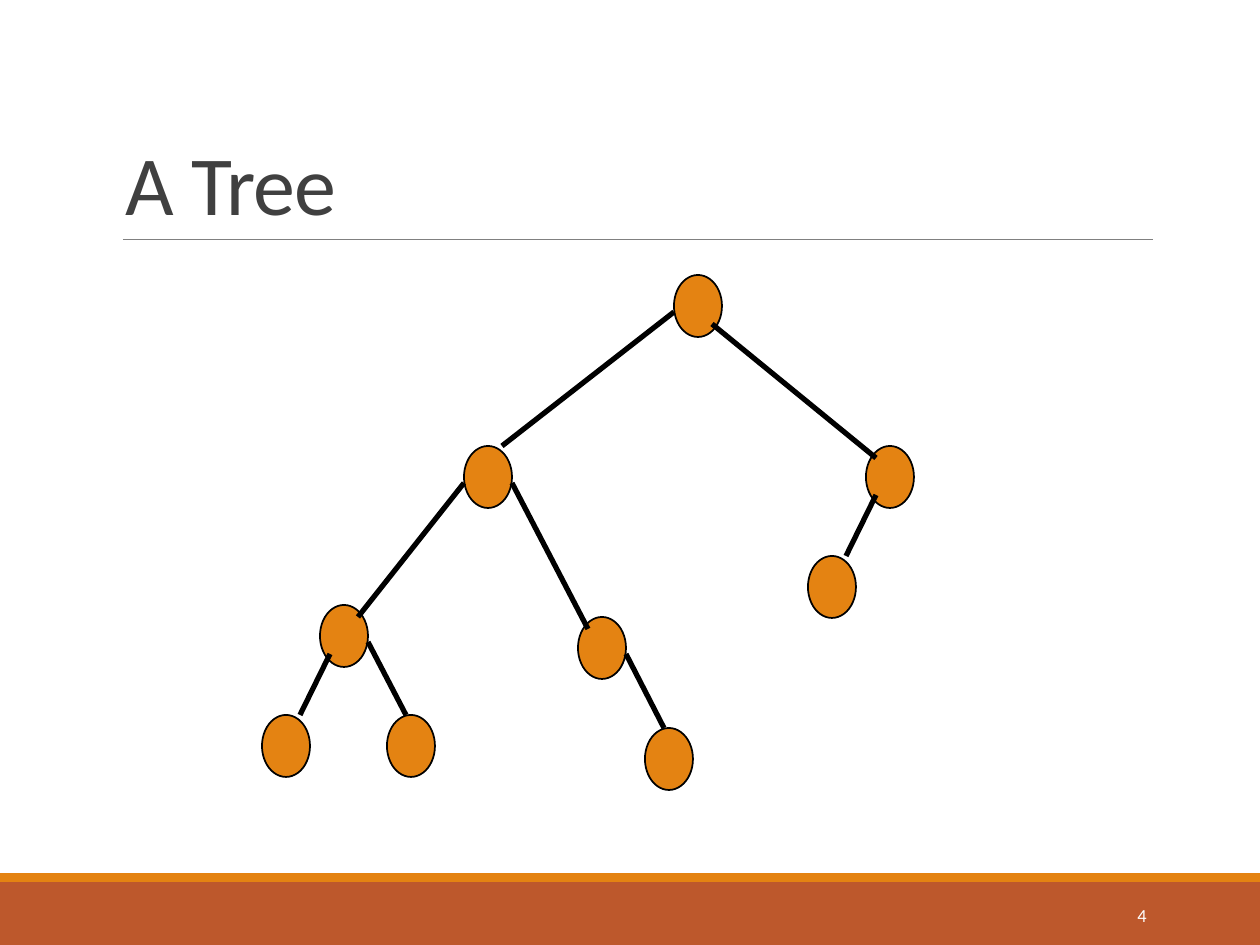
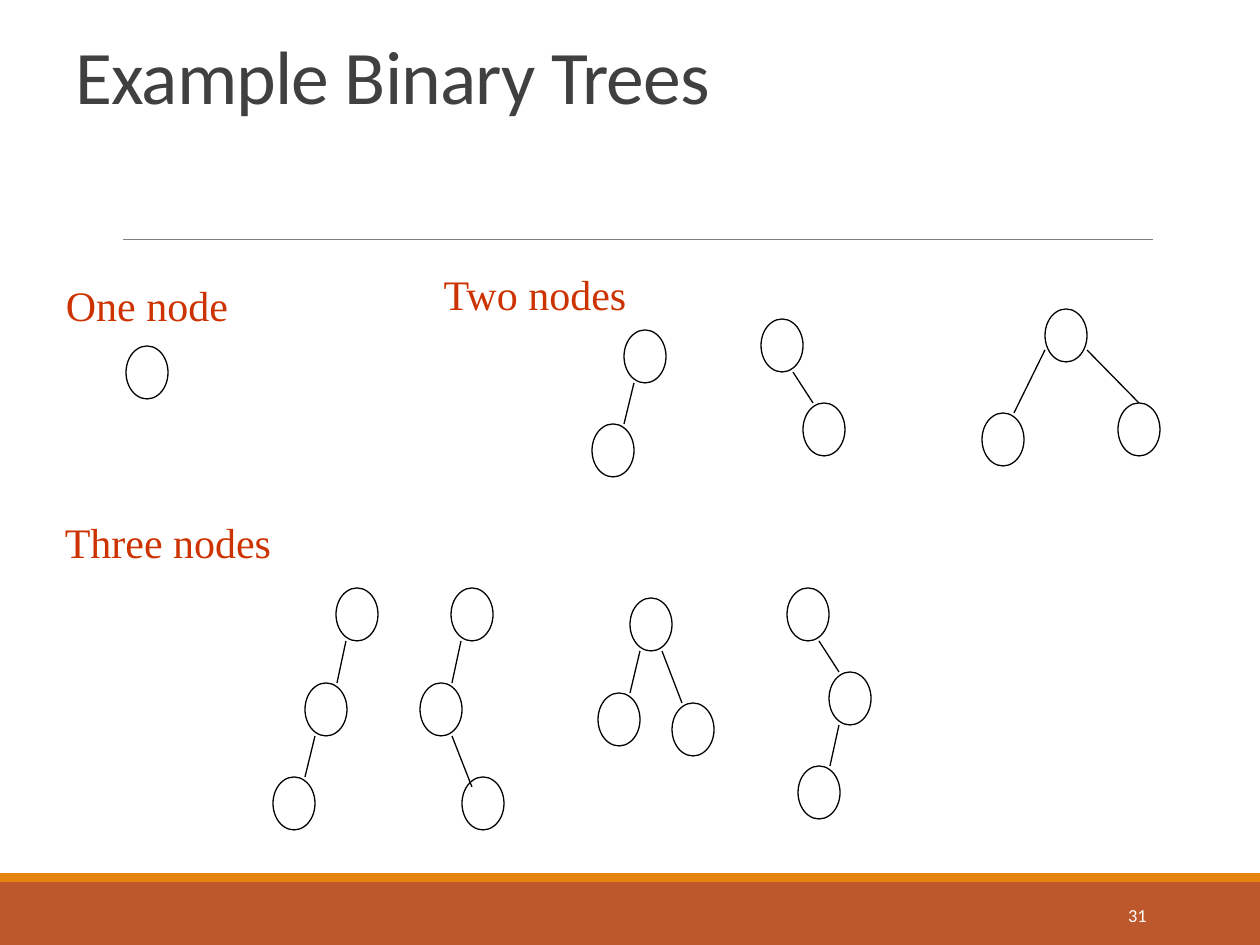
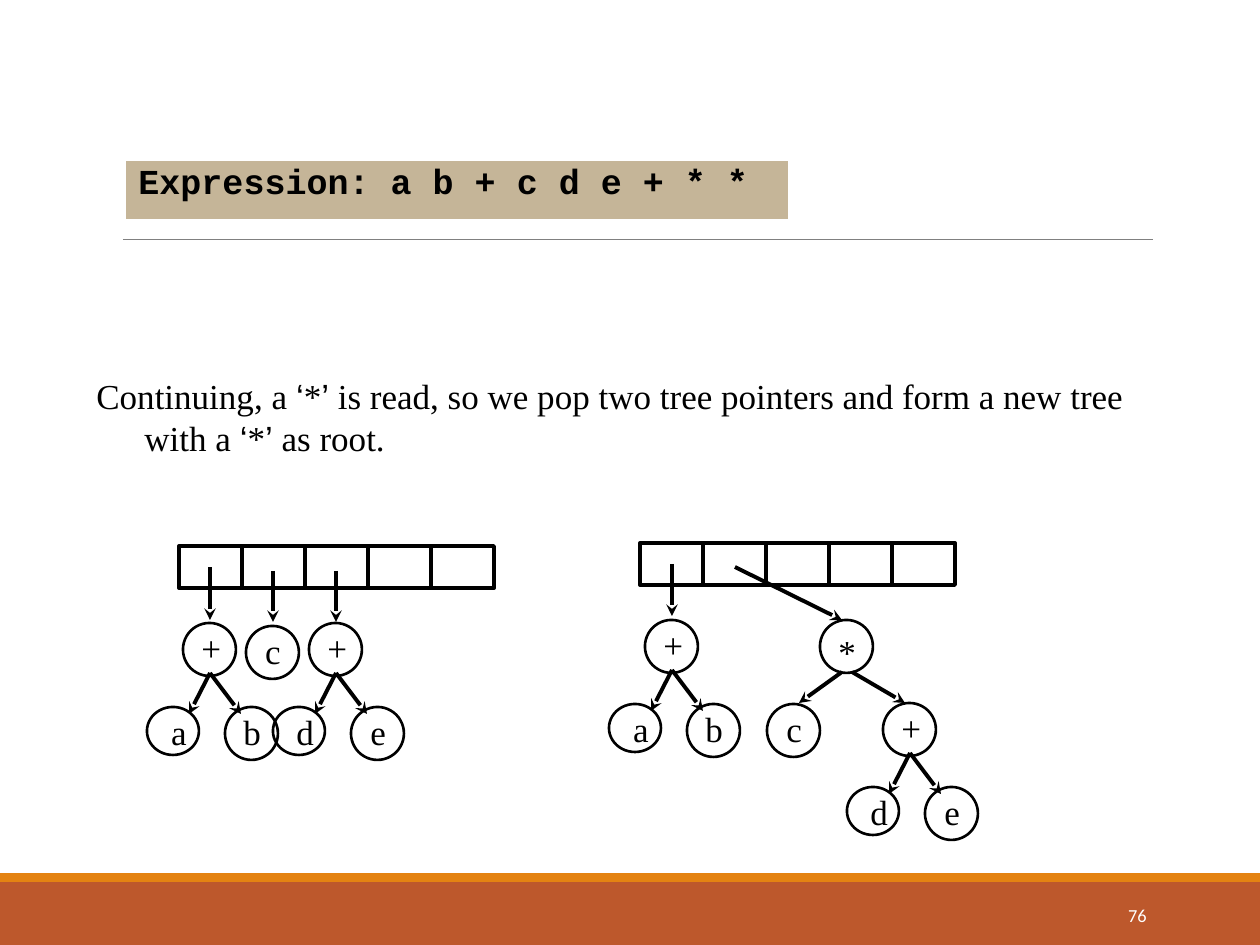
from dataclasses import dataclass
from itertools import groupby

from lxml import etree
from pptx import Presentation
from pptx.dml import color
from pptx.enum import shapes, text
from pptx.oxml import ns
from pptx.util import Emu, Pt

EMU_PER_PX = 914400 / 126


@dataclass(frozen=True)
class Theme:
    orange: str = "E48312"
    rust: str = "BD582C"
    rule: str = "808080"
    heading: str = "404040"
    caption: str = "CC3300"
    sand: str = "C5B598"
    ink: str = "000000"
    paper: str = "FFFFFF"
    sans: str = "Calibri"
    serif: str = "Times New Roman"
    mono: str = "Courier New"
    quote: str = "Arial"
    number_size: float = 10.5
    body_size: float = 20
    caption_size: float = 24


THEME = Theme()

BIG_TREE = {
    "number": "4",
    "title": ("A Tree", (113, 39, 1040, 200), 48),
    "size": (48, 62),
    "anchors": {
        "left": (0, 37), "right": (48, 37),
        "lower left": (10, 49), "lower right": (38, 49),
        "upper left": (10, 12), "upper right": (38, 12),
        "top": (19, 0), "top right": (38, 0),
    },
    "nodes": {
        "root": (674, 275), "L": (464, 446), "R": (866, 446),
        "LL": (320, 605), "LR": (578, 617), "RL": (808, 556),
        "LLL": (262, 715), "LLR": (387, 715), "LRR": (645, 728),
    },
    "edges": [
        ("root", "left", "L", "top right"),
        ("root", "lower right", "R", "upper left"),
        ("L", "left", "LL", "upper right"),
        ("L", "right", "LR", "upper left"),
        ("R", "lower left", "RL", "top right"),
        ("LL", "lower left", "LLL", "top right"),
        ("LL", "right", "LLR", "top"),
        ("LR", "right", "LRR", "top"),
    ],
}

SMALL_TREES = {
    "number": "31",
    "title": ("Example Binary Trees", (63, 38, 1029, 88), 43.2),
    "captions": [
        ("One node", (53, 273, 188, 63)),
        ("Two nodes", (430, 262, 210, 63)),
        ("Three nodes", (52, 510, 232, 63)),
    ],
    "size": (42, 53),
    "anchors": {
        "left": (0, 41), "right": (42, 41),
        "bottom left": (10, 53), "bottom right": (32, 53),
        "top left": (10, 0), "top": (21, 0), "top right": (32, 0),
        "upper left": (10, 10),
    },
    "nodes": {
        "single": (126, 346),
        "left pair": (624, 330), "left pair child": (592, 424),
        "right pair": (761, 319), "right pair child": (803, 403),
        "wide": (1045, 309), "wide left": (982, 413), "wide right": (1118, 403),
        "chain": (336, 588), "chain middle": (305, 683), "chain end": (273, 777),
        "bend": (451, 588), "bend middle": (420, 683), "bend end": (462, 777),
        "fork": (630, 598), "fork left": (598, 693), "fork right": (672, 703),
        "zigzag": (787, 588), "zigzag middle": (829, 672), "zigzag end": (798, 766),
    },
    "edges": [
        ("left pair", "bottom left", "left pair child", "top right"),
        ("right pair", "bottom right", "right pair child", "top left"),
        ("wide", "left", "wide left", "top right"),
        ("wide", "right", "wide right", "top"),
        ("chain", "bottom left", "chain middle", "top right"),
        ("chain middle", "bottom left", "chain end", "top right"),
        ("bend", "bottom left", "bend middle", "top right"),
        ("bend middle", "bottom right", "bend end", "upper left"),
        ("fork", "bottom left", "fork left", "top right"),
        ("fork", "bottom right", "fork right", "top left"),
        ("zigzag", "bottom right", "zigzag middle", "top left"),
        ("zigzag middle", "bottom left", "zigzag end", "top right"),
    ],
}

EXPRESSION = {
    "number": "76",
    "formula": ("Expression: a b + c d e + * *", (126, 161, 662, 58)),
    "step": (
        "Continuing, a ‘*’ is read, so we pop two tree pointers and form "
        "a new tree with a ‘*’ as root.",
        (84, 368, 1071, 100),
    ),
    "stacks": [(179, 546), (640, 543)],
    "slots": 5,
    "plus_trees": [
        (183, 623, "a", "b"), (309, 623, "d", "e"),
        (645, 620, "a", "b"), (883, 703, "d", "e"),
    ],
    "other_nodes": [
        ("c", 246, 626, -3), ("*", 820, 620, 4), ("c", 767, 704, -3),
    ],
    "pointers": [
        (210, 567, 210, 620), (273, 571, 273, 622), (336, 571, 336, 622),
        (672, 564, 672, 616), (735, 567, 842, 620),
        (842, 672, 799, 703), (852, 672, 905, 703),
    ],
}


def px(*lengths):
    return [Emu(round(length * EMU_PER_PX)) for length in lengths]


def rgb(value):
    return color.RGBColor.from_string(value)


def style_run(run, font, size, ink, bold=False):
    run.font.name = font
    run.font.size = Pt(size)
    run.font.bold = bold
    run.font.color.rgb = rgb(ink)


def add_figure(slide, kind, box, fill=None, line=None, width=1):
    figure = slide.shapes.add_shape(kind, *px(*box))
    figure.shadow.inherit = False
    if fill:
        figure.fill.solid()
        figure.fill.fore_color.rgb = rgb(fill)
    else:
        figure.fill.background()
    if line:
        figure.line.color.rgb = rgb(line)
        figure.line.width = Pt(width)
    else:
        figure.line.fill.background()
    return figure


def add_rect(slide, box, **look):
    return add_figure(slide, shapes.MSO_SHAPE.RECTANGLE, box, **look)


def add_oval(slide, box, **look):
    return add_figure(slide, shapes.MSO_SHAPE.OVAL, box, **look)


def add_line(slide, ends, ink, width, arrow=False):
    line = slide.shapes.add_connector(shapes.MSO_CONNECTOR.STRAIGHT, *px(*ends))
    line.line.color.rgb = rgb(ink)
    line.line.width = Pt(width)
    if arrow:
        tail = etree.SubElement(line.line._get_or_add_ln(), ns.qn("a:tailEnd"))
        tail.set("type", "stealth")
    etree.SubElement(line._element.spPr, ns.qn("a:effectLst"))


def add_words(slide, words, box, font, size, ink, align=text.PP_ALIGN.LEFT,
              anchor=text.MSO_ANCHOR.TOP, wrap=True):
    frame = slide.shapes.add_textbox(*px(*box)).text_frame
    frame.word_wrap = wrap
    frame.vertical_anchor = anchor
    frame.text = words
    paragraph = frame.paragraphs[0]
    paragraph.alignment = align
    style_run(paragraph.runs[0], font, size, ink)
    return paragraph


def hang(paragraph, indent):
    properties = paragraph._p.get_or_add_pPr()
    properties.set("marL", str(px(indent)[0]))
    properties.set("indent", str(px(-indent)[0]))


def add_slide(deck, content):
    slide = deck.slides.add_slide(deck.slide_layouts[6])
    add_rect(slide, (0, 882, 1260, 63), fill=THEME.rust)
    add_rect(slide, (0, 873, 1260, 9), fill=THEME.orange)
    add_line(slide, (123, 239, 1153, 239), THEME.rule, 0.5)
    if "title" in content:
        words, box, size = content["title"]
        title = add_words(slide, words, box, THEME.sans, size, THEME.heading,
                          anchor=text.MSO_ANCHOR.BOTTOM)
        title.line_spacing = 0.85
        title.runs[0].font._element.set("spc", "-50")
    add_words(slide, content["number"], (1023, 890, 136, 50), THEME.sans,
              THEME.number_size, THEME.paper, text.PP_ALIGN.RIGHT,
              text.MSO_ANCHOR.MIDDLE)
    return slide


def draw_tree(slide, content, fill, outline, edge_width):
    nodes, anchors = content["nodes"], content["anchors"]
    for place in nodes.values():
        add_oval(slide, place + content["size"], fill=fill, line=THEME.ink, width=outline)
    for parent, leave, child, arrive in content["edges"]:
        ends = [at + shift for node, anchor in ((parent, leave), (child, arrive))
                for at, shift in zip(nodes[node], anchors[anchor])]
        add_line(slide, ends, THEME.ink, edge_width)


def draw_letter(slide, letter, x, y, size=(53, 53), shift=(6, -3)):
    add_oval(slide, (x, y, *size), line=THEME.ink, width=1.5)
    add_words(slide, letter, (x + shift[0], y + shift[1], 42, 50), THEME.serif,
              THEME.body_size, THEME.ink, text.PP_ALIGN.CENTER)


def draw_plus_tree(slide, x, y, left, right):
    draw_letter(slide, "+", x, y)
    draw_letter(slide, left, x - 36, y + 84, (52, 48), (11, -3))
    draw_letter(slide, right, x + 42, y + 84)
    for tip in (6, 58):
        add_line(slide, (x + 27, y + 50, x + tip, y + 91), THEME.ink, 2.25, arrow=True)


def draw_expression(slide, content):
    words, box = content["formula"]
    frame = add_rect(slide, box, fill=THEME.sand).text_frame
    frame.word_wrap = True
    frame.vertical_anchor = text.MSO_ANCHOR.TOP
    frame.text = words
    formula = frame.paragraphs[0]
    hang(formula, 38)
    formula.alignment = text.PP_ALIGN.LEFT
    formula.line_spacing = 0.8
    style_run(formula.runs[0], THEME.mono, THEME.body_size, THEME.ink, bold=True)

    words, box = content["step"]
    frame = slide.shapes.add_textbox(*px(*box)).text_frame
    frame.word_wrap = True
    step = frame.paragraphs[0]
    hang(step, 48)
    for quoted, letters in groupby(words, key=lambda letter: letter in "‘’"):
        run = step.add_run()
        run.text = "".join(letters)
        style_run(run, THEME.quote if quoted else THEME.serif, THEME.body_size, THEME.ink)

    for left, top in content["stacks"]:
        for slot in range(content["slots"]):
            add_rect(slide, (left + 63 * slot, top, 63, 42), line=THEME.ink, width=2.25)
    for plus_tree in content["plus_trees"]:
        draw_plus_tree(slide, *plus_tree)
    for letter, x, y, drop in content["other_nodes"]:
        draw_letter(slide, letter, x, y, shift=(6, drop))
    for pointer in content["pointers"]:
        add_line(slide, pointer, THEME.ink, 2.25, arrow=True)


def main():
    deck = Presentation()
    deck.slide_width, deck.slide_height = px(1260, 945)

    draw_tree(add_slide(deck, BIG_TREE), BIG_TREE, THEME.orange, 1, 3)

    examples = add_slide(deck, SMALL_TREES)
    for words, box in SMALL_TREES["captions"]:
        add_words(examples, words, box, THEME.serif, THEME.caption_size, THEME.caption,
                  text.PP_ALIGN.CENTER, text.MSO_ANCHOR.MIDDLE, wrap=False)
    draw_tree(examples, SMALL_TREES, THEME.paper, 0.75, 0.75)

    draw_expression(add_slide(deck, EXPRESSION), EXPRESSION)
    deck.save("out.pptx")


if __name__ == "__main__":
    main()
